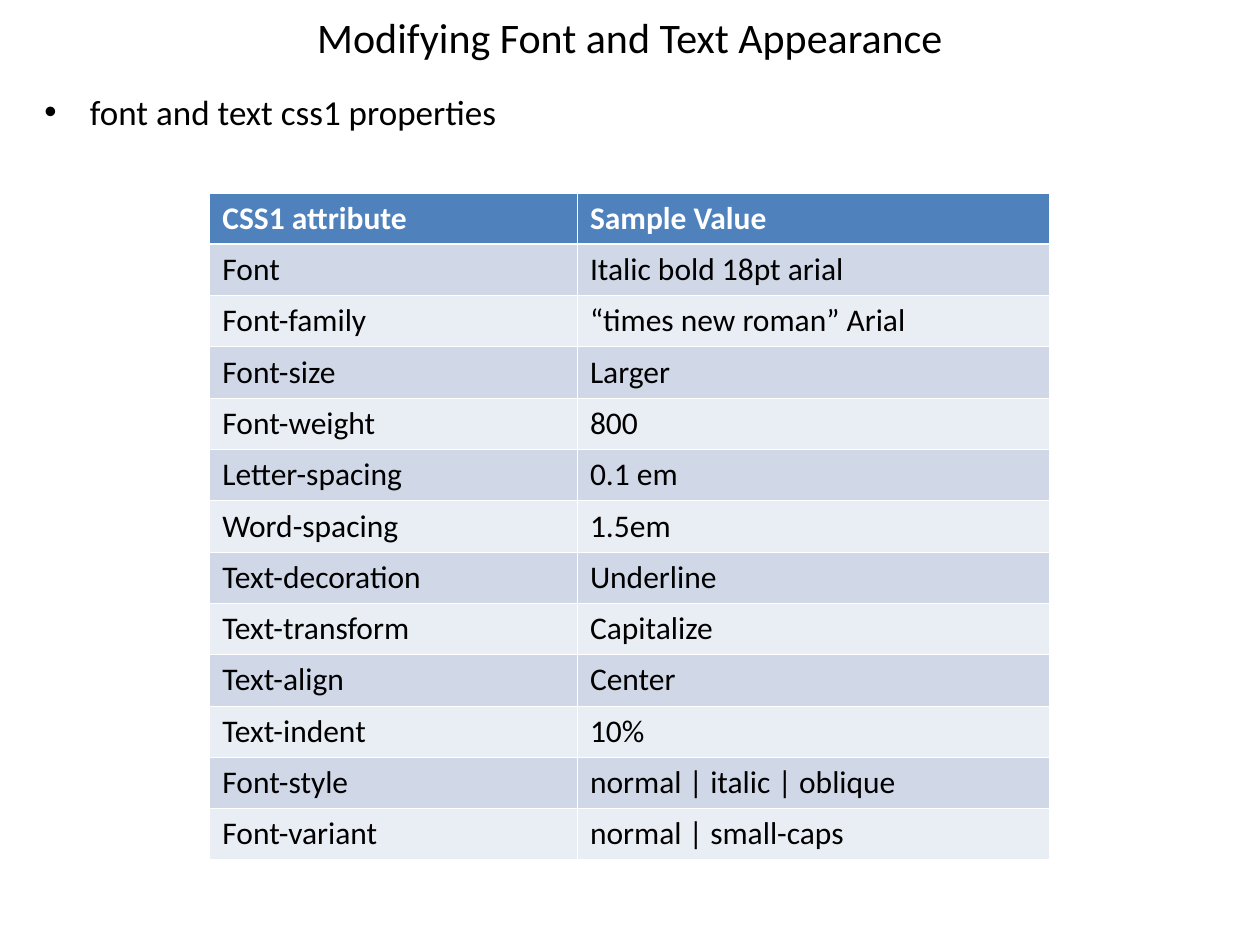
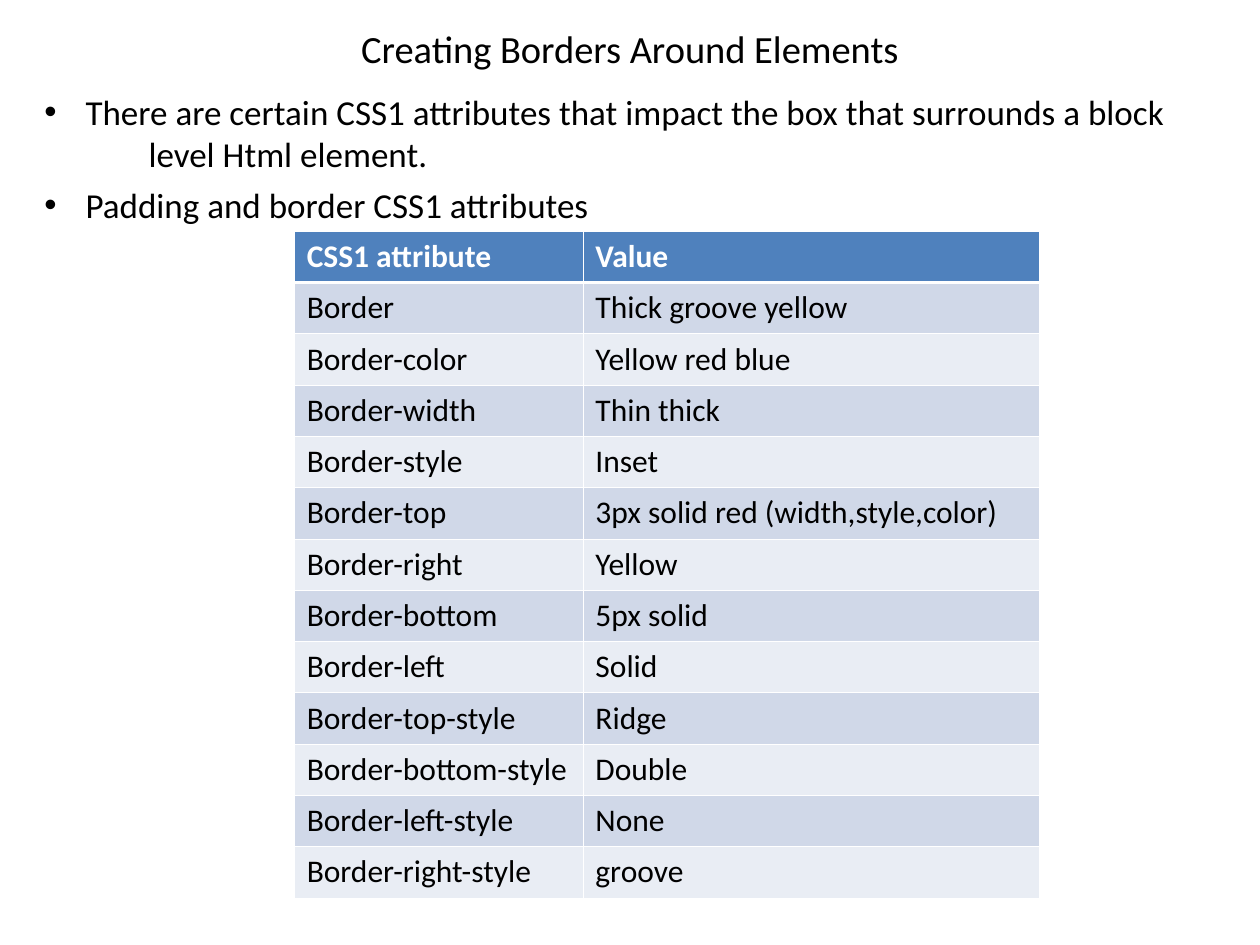
from dataclasses import dataclass

from lxml import etree
from pptx import Presentation
from pptx.dml.color import RGBColor
from pptx.enum.text import MSO_ANCHOR, MSO_AUTO_SIZE, PP_ALIGN
from pptx.oxml.ns import qn
from pptx.util import Cm, Pt

CENTER = PP_ALIGN.CENTER
MIDDLE = MSO_ANCHOR.MIDDLE
NO_AUTOFIT = MSO_AUTO_SIZE.NONE

# Content: a bullet is a list of lines, the first of which carries the mark
SLIDES = [
    {
        "title": "Modifying Font and Text Appearance",
        "title_size": 24,
        "title_spacing": 1.0,
        "bullets": [["font and text css1 properties"]],
        "bullet_indent": 0.92,
        "table_at": (4.23, 3.89),
        "columns": (7.41, 9.52),
        "rows": [
            ("CSS1 attribute", "Sample Value"),
            ("Font", "Italic bold 18pt arial"),
            ("Font-family", "“times new roman” Arial"),
            ("Font-size", "Larger"),
            ("Font-weight", "800"),
            ("Letter-spacing", "0.1 em"),
            ("Word-spacing", "1.5em"),
            ("Text-decoration", "Underline"),
            ("Text-transform", "Capitalize"),
            ("Text-align", "Center"),
            ("Text-indent", "10%"),
            ("Font-style", "normal | italic | oblique"),
            ("Font-variant", "normal | small-caps"),
        ],
    },
    {
        "title": "Creating Borders Around Elements",
        "title_size": 22,
        "title_spacing": 1.5,
        "bullets": [
            ["There are certain CSS1 attributes that impact the box that surrounds a block",
             "level Html element."],
            ["Padding and border CSS1 attributes"],
        ],
        "bullet_indent": 0.83,
        "table_at": (5.93, 4.66),
        "columns": (5.82, 9.21),
        "rows": [
            ("CSS1 attribute", "Value"),
            ("Border", "Thick groove yellow"),
            ("Border-color", "Yellow red blue"),
            ("Border-width", "Thin thick"),
            ("Border-style", "Inset"),
            ("Border-top", "3px solid red (width,style,color)"),
            ("Border-right", "Yellow"),
            ("Border-bottom", "5px solid"),
            ("Border-left", "Solid"),
            ("Border-top-style", "Ridge"),
            ("Border-bottom-style", "Double"),
            ("Border-left-style", "None"),
            ("Border-right-style", "groove"),
        ],
    },
]


@dataclass(frozen=True)
class Theme:
    font: str = "Calibri"
    text: str = "000000"
    light: str = "FFFFFF"
    header: str = "4F81BD"
    bands: tuple = ("D0D8E8", "E9EDF4")
    body_size: int = 20
    table_size: int = 18
    bullet_gap: int = 5
    thin_line: float = 0.45
    header_line: float = 1.47


THEME = Theme()

# Shared layout, in centimetres
TITLE_BOX = (1.27, 0, 22.86, 1.47)
BODY_BOX = (0.64, 1.7, 23.5, 16.71)
CONTINUATION_INDENT = 2.1
TABLE_HEIGHT = 13.45


def place(shape, box):
    shape.left, shape.top, shape.width, shape.height = map(Cm, box)


def style_paragraph(paragraph, size, color=THEME.text, bold=False):
    for run in paragraph.runs:
        run.font.name = THEME.font
        run.font.size = Pt(size)
        run.font.bold = bold
        run.font.color.rgb = RGBColor.from_string(color)


def add_title(slide, content):
    title = slide.shapes.title
    place(title, TITLE_BOX)
    frame = title.text_frame
    frame.text = content["title"]
    frame.auto_size = NO_AUTOFIT
    frame.vertical_anchor = MIDDLE
    paragraph = frame.paragraphs[0]
    paragraph.alignment = CENTER
    paragraph.line_spacing = content["title_spacing"]
    style_paragraph(paragraph, content["title_size"])


def add_bullets(slide, content):
    body = slide.placeholders[1]
    place(body, BODY_BOX)
    frame = body.text_frame
    frame.auto_size = NO_AUTOFIT
    lines = [(line, number == 0) for bullet in content["bullets"]
             for number, line in enumerate(bullet)]
    for index, (line, marked) in enumerate(lines):
        paragraph = frame.paragraphs[0] if index == 0 else frame.add_paragraph()
        paragraph.text = line
        properties = paragraph._p.get_or_add_pPr()
        indent = Cm(content["bullet_indent"] if marked else CONTINUATION_INDENT)
        properties.set("marL", str(indent))
        properties.set("indent", str(-indent if marked else 0))
        if not marked:
            etree.SubElement(properties, qn("a:buNone"))
        paragraph.space_before = Pt(THEME.bullet_gap if marked and index else 0)
        style_paragraph(paragraph, THEME.body_size)


def set_borders(cell, row_index):
    # The rule between header and first row is heavier than the others
    widths = {"lnL": THEME.thin_line, "lnR": THEME.thin_line,
              "lnT": THEME.header_line if row_index == 1 else THEME.thin_line,
              "lnB": THEME.header_line if row_index == 0 else THEME.thin_line}
    properties = cell._tc.get_or_add_tcPr()
    for side, width in widths.items():
        line = etree.SubElement(properties, qn(f"a:{side}"), w=str(Pt(width)))
        fill = etree.SubElement(line, qn("a:solidFill"))
        etree.SubElement(fill, qn("a:srgbClr"), val=THEME.light)


def add_property_table(slide, content):
    rows, columns = content["rows"], content["columns"]
    left, top = map(Cm, content["table_at"])
    table = slide.shapes.add_table(len(rows), len(columns), left, top,
                                   Cm(sum(columns)), Cm(TABLE_HEIGHT)).table
    for column, width in zip(table.columns, columns):
        column.width = Cm(width)
    for row_index, values in enumerate(rows):
        is_header = row_index == 0
        background = THEME.header if is_header else THEME.bands[(row_index - 1) % 2]
        table.rows[row_index].height = Cm(TABLE_HEIGHT / len(rows))
        for column_index, value in enumerate(values):
            cell = table.cell(row_index, column_index)
            cell.text_frame.text = value
            set_borders(cell, row_index)
            cell.fill.solid()
            cell.fill.fore_color.rgb = RGBColor.from_string(background)
            style_paragraph(cell.text_frame.paragraphs[0], THEME.table_size,
                            THEME.light if is_header else THEME.text, is_header)


def main():
    presentation = Presentation()
    presentation.slide_width, presentation.slide_height = Cm(25.4), Cm(19.05)
    for content in SLIDES:
        slide = presentation.slides.add_slide(presentation.slide_layouts[1])
        add_title(slide, content)
        add_bullets(slide, content)
        add_property_table(slide, content)
    presentation.save("out.pptx")


if __name__ == "__main__":
    main()
